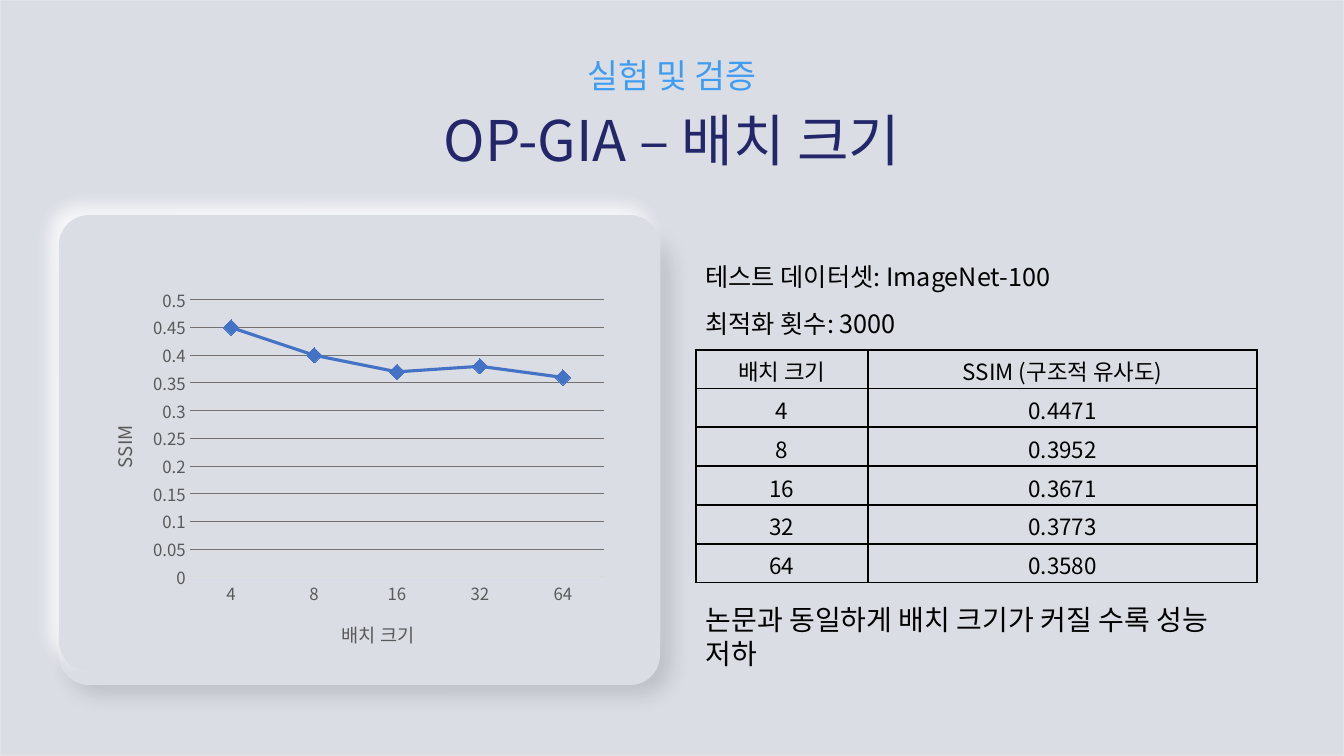
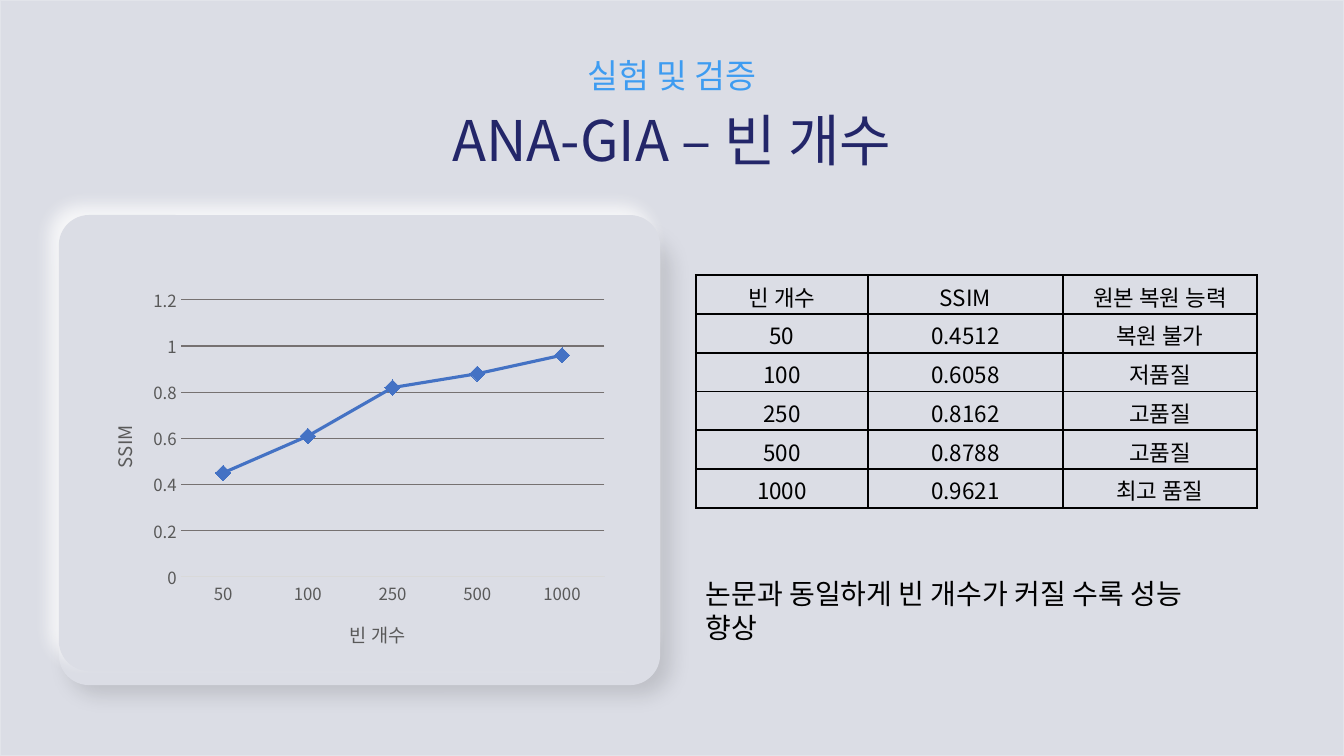
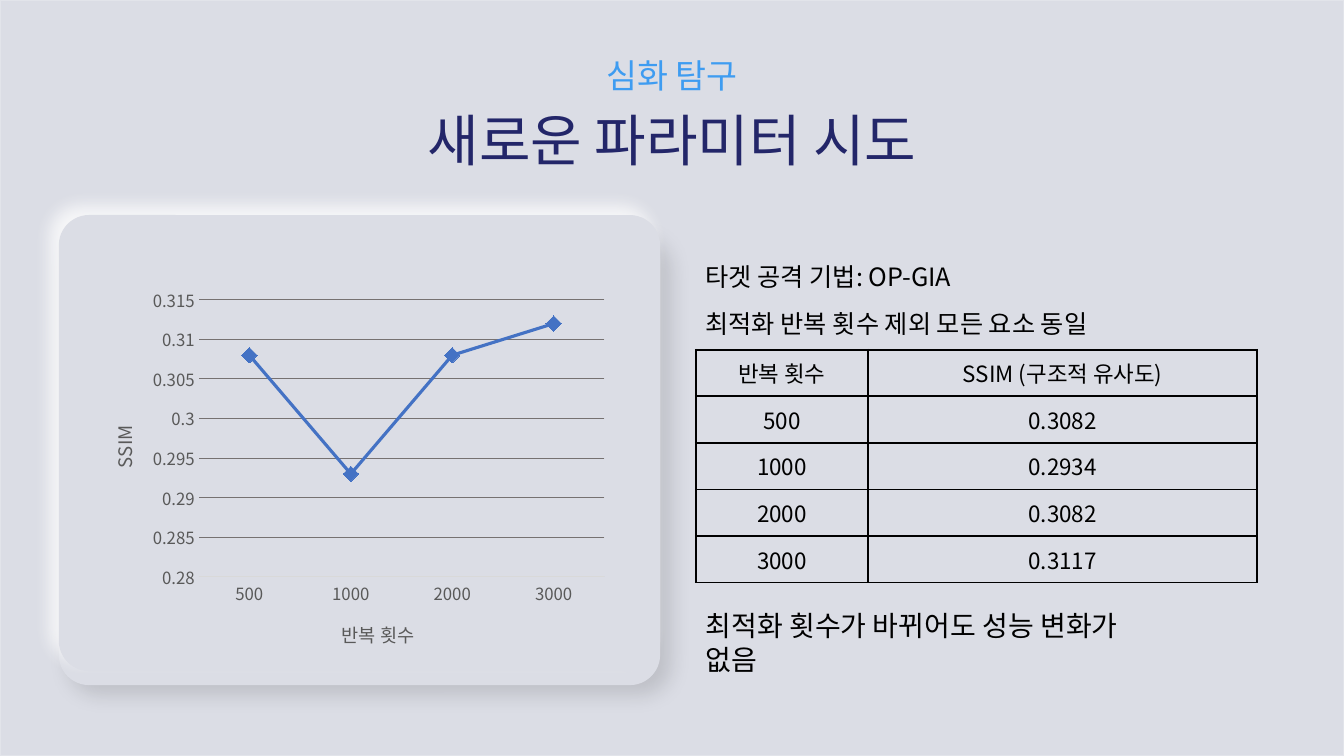
"""Builds three result slides, each with a line chart, a table and a conclusion."""
from lxml import etree
from pptx import Presentation
from pptx.chart.data import CategoryChartData
from pptx.dml.color import RGBColor
from pptx.enum import chart as charts, shapes, text
from pptx.oxml import parse_xml
from pptx.oxml.ns import nsdecls, qn
from pptx.util import Inches, Pt

FONT = "Noto Sans CJK KR"
BASE, EDGE, NAVY, SKY = "DBDDE5", "E2E4EA", "232669", "3E9CF1"
BLACK, GRAY, GRID, AXIS, BLUE = "000000", "595959", "767171", "D9D9D9", "4472C4"
LEFT, TABLE_WIDTH, FIRST_COLUMN, TABLE_HEIGHT = 6.9, 5.57, 1.71, 2.31
NOTE_TOP, NOTE_STEP = 2.54, 0.47
CARD_SHADOWS = [(2.28, BLACK, 12, 15, 45), (2.14, "FFFFFF", 78, 12, 225)]

SLIDES = [
    {
        "section": "실험 및 검증",
        "title": "OP-GIA – 배치 크기",
        "notes": [("테스트 데이터셋: ImageNet-100", 3.83), ("최적화 횟수: 3000", 2.17)],
        "table_top": 3.47,
        "anchor": text.MSO_ANCHOR.TOP,
        "rows": [
            ("배치 크기", "SSIM (구조적 유사도)"),
            ("4", "0.4471"),
            ("8", "0.3952"),
            ("16", "0.3671"),
            ("32", "0.3773"),
            ("64", "0.3580"),
        ],
        "digits": 2,
        "scale": (0, 0.5, 0.05),
        "plot_left": 0.195,
        "conclusion": ("논문과 동일하게 배치 크기가 커질 수록 성능 저하", 5.93, 5.58),
    },
    {
        "section": "실험 및 검증",
        "title": "ANA-GIA – 빈 개수",
        "notes": [],
        "table_top": 2.73,
        "anchor": text.MSO_ANCHOR.TOP,
        "rows": [
            ("빈 개수", "SSIM", "원본 복원 능력"),
            ("50", "0.4512", "복원 불가"),
            ("100", "0.6058", "저품질"),
            ("250", "0.8162", "고품질"),
            ("500", "0.8788", "고품질"),
            ("1000", "0.9621", "최고 품질"),
        ],
        "digits": 2,
        "scale": (0, 1.2, 0.2),
        "plot_left": 0.178,
        "conclusion": ("논문과 동일하게 빈 개수가 커질 수록 성능 향상", 5.67, 5.33),
    },
    {
        "section": "심화 탐구",
        "title": "새로운 파라미터 시도",
        "notes": [("타겟 공격 기법: OP-GIA", 2.75), ("최적화 반복 횟수 제외 모든 요소 동일", 5.03)],
        "table_top": 3.47,
        "anchor": text.MSO_ANCHOR.MIDDLE,
        "rows": [
            ("반복 횟수", "SSIM (구조적 유사도)"),
            ("500", "0.3082"),
            ("1000", "0.2934"),
            ("2000", "0.3082"),
            ("3000", "0.3117"),
        ],
        "digits": 3,
        "scale": (0.28, 0.315, 0.005),
        "plot_left": 0.212,
        "conclusion": ("최적화 횟수가 바뀌어도 성능 변화가 없음", 5.99, 4.71),
    },
]


def color(value):
    return RGBColor.from_string(value)


def set_font(font, size, value):
    font.name, font.size, font.bold = FONT, Pt(size), False
    font.color.rgb = color(value)
    latin = font._rPr.find(qn("a:latin"))
    latin.addnext(parse_xml(f'<a:ea {nsdecls("a")} typeface="{FONT}"/>'))


def set_line(line, value, width):
    line.color.rgb = color(value)
    line.width = Pt(width)


def add_panel(page, kind, left, top, width, height, edge):
    panel = page.shapes.add_shape(kind, Inches(left), Inches(top), Inches(width), Inches(height))
    panel.shadow.inherit = False
    panel.fill.solid()
    panel.fill.fore_color.rgb = color(BASE)
    set_line(panel.line, edge, 1)
    return panel


def add_rounded(page, left, top, width, height, corner):
    kind = shapes.MSO_SHAPE.ROUNDED_RECTANGLE
    panel = add_panel(page, kind, left, top, width, height, BASE)
    panel.adjustments[0] = corner
    return panel


def add_card(page, top, value, opacity, blur, angle):
    card = add_rounded(page, 0.59, top, 5.95, 4.51, 0.065)
    effects = card._element.spPr.find(qn("a:effectLst"))
    effects.append(parse_xml(
        f'<a:outerShdw {nsdecls("a")} blurRad="{Pt(blur)}" dist="{Pt(10)}" dir="{angle * 60000}" '
        f'algn="ctr" rotWithShape="0"><a:srgbClr val="{value}">'
        f'<a:alpha val="{opacity * 1000}"/></a:srgbClr></a:outerShdw>'))


def add_text(page, words, left, top, width, height, size, value, align=None, wrap=True):
    box = page.shapes.add_textbox(Inches(left), Inches(top), Inches(width), Inches(height))
    box.text_frame.word_wrap = wrap
    box.text_frame.auto_size = text.MSO_AUTO_SIZE.SHAPE_TO_FIT_TEXT
    para = box.text_frame.paragraphs[0]
    para.text, para.alignment = words, align
    set_font(para.font, size, value)


def place(parent, before, **fractions):
    for old in parent.findall(qn("c:layout")):
        parent.remove(old)
    layout = etree.Element(qn("c:layout"))
    manual = etree.SubElement(layout, qn("c:manualLayout"))
    if "w" in fractions:
        etree.SubElement(manual, qn("c:layoutTarget")).set("val", "inner")
    for mode in ("xMode", "yMode"):
        etree.SubElement(manual, qn(f"c:{mode}")).set("val", "edge")
    for name, fraction in fractions.items():
        etree.SubElement(manual, qn(f"c:{name}")).set("val", f"{fraction:.3f}")
    parent.insert(before, layout)


def style_axis(axis, title, left, top):
    axis.major_tick_mark = axis.minor_tick_mark = charts.XL_TICK_MARK.NONE
    set_font(axis.tick_labels.font, 12, GRAY)
    para = axis.axis_title.text_frame.paragraphs[0]
    para.text = title
    set_font(para.font, 13.3, GRAY)
    place(axis.axis_title._element, 1, x=left, y=top)


def add_line_chart(page, rows, digits, scale, plot_left):
    data = CategoryChartData()
    data.categories = [row[0] for row in rows[1:]]
    data.add_series("Series 1", [round(float(row[1]), digits) for row in rows[1:]])
    chart = page.shapes.add_chart(
        charts.XL_CHART_TYPE.LINE_MARKERS,
        Inches(0.86), Inches(2.77), Inches(5.24), Inches(3.87), data).chart
    chart.has_title = chart.has_legend = False
    set_font(chart.font, 10, BLACK)
    plot = chart.plots[0]
    plot.vary_by_categories = False
    series = plot.series[0]
    series.smooth = False
    set_line(series.format.line, BLUE, 2.25)
    series.marker.style, series.marker.size = charts.XL_MARKER_STYLE.DIAMOND, 11
    series.marker.format.fill.solid()
    series.marker.format.fill.fore_color.rgb = color(NAVY)
    series.marker.format.line.fill.background()

    header = rows[0][0]
    style_axis(chart.category_axis, header, 0.556 - 0.016 * len(header), 0.86)
    set_line(chart.category_axis.format.line, AXIS, 0.75)
    values = chart.value_axis
    style_axis(values, "SSIM", 0.034, 0.365)
    values.minimum_scale, values.maximum_scale, values.major_unit = scale
    values.tick_labels.number_format = "General"
    values.tick_labels.number_format_is_linked = False
    values.format.line.fill.background()
    set_line(values.major_gridlines.format.line, GRID, 0.75)
    place(chart._chartSpace.chart.plotArea, 0, x=plot_left, y=0.053, w=0.98 - plot_left, h=0.71)


def add_borders(cell):
    properties = cell._tc.get_or_add_tcPr()
    for index, side in enumerate(("lnL", "lnR", "lnT", "lnB")):
        properties.insert(index, parse_xml(
            f'<a:{side} {nsdecls("a")} w="{Pt(1.5)}"><a:solidFill>'
            f'<a:srgbClr val="{BLACK}"/></a:solidFill></a:{side}>'))


def add_result_table(page, rows, top, anchor):
    count = len(rows[0])
    table = page.shapes.add_table(
        len(rows), count, Inches(LEFT), Inches(top), Inches(TABLE_WIDTH), Inches(TABLE_HEIGHT)).table
    table.first_row = table.horz_banding = False
    for index, column in enumerate(table.columns):
        rest = (TABLE_WIDTH - FIRST_COLUMN) / (count - 1)
        column.width = Inches(rest if index else FIRST_COLUMN)
    for line, row in zip(table.rows, rows):
        for cell, words in zip(line.cells, row):
            cell.fill.background()
            cell.vertical_anchor = anchor
            para = cell.text_frame.paragraphs[0]
            para.text, para.alignment = words, text.PP_ALIGN.CENTER
            set_font(para.font, 16, BLACK)
            add_borders(cell)


def add_page(deck, content):
    page = deck.slides.add_slide(deck.slide_layouts[6])
    add_panel(page, shapes.MSO_SHAPE.RECTANGLE, 0, 0, 13.33, 7.5, EDGE)
    center = text.PP_ALIGN.CENTER
    add_text(page, content["title"], 0, 1, 13.33, 0.77, 40, NAVY, center)
    add_text(page, content["section"], 0, 0.5, 13.33, 0.5, 24, SKY, center)
    add_rounded(page, 5.83, 1.77, 6.92, 5.23, 0.05)
    for card in CARD_SHADOWS:
        add_card(page, *card)
    add_line_chart(page, content["rows"], content["digits"], content["scale"], content["plot_left"])
    for index, (words, width) in enumerate(content["notes"]):
        add_text(page, words, LEFT, NOTE_TOP + index * NOTE_STEP, width, 0.4, 18, BLACK, wrap=False)
    words, top, width = content["conclusion"]
    add_text(page, words, LEFT, top, width, 0.44, 20, BLACK)
    add_result_table(page, content["rows"], content["table_top"], content["anchor"])


def main():
    deck = Presentation()
    deck.slide_width, deck.slide_height = Inches(13.33), Inches(7.5)
    for content in SLIDES:
        add_page(deck, content)
    deck.save("out.pptx")


if __name__ == "__main__":
    main()
